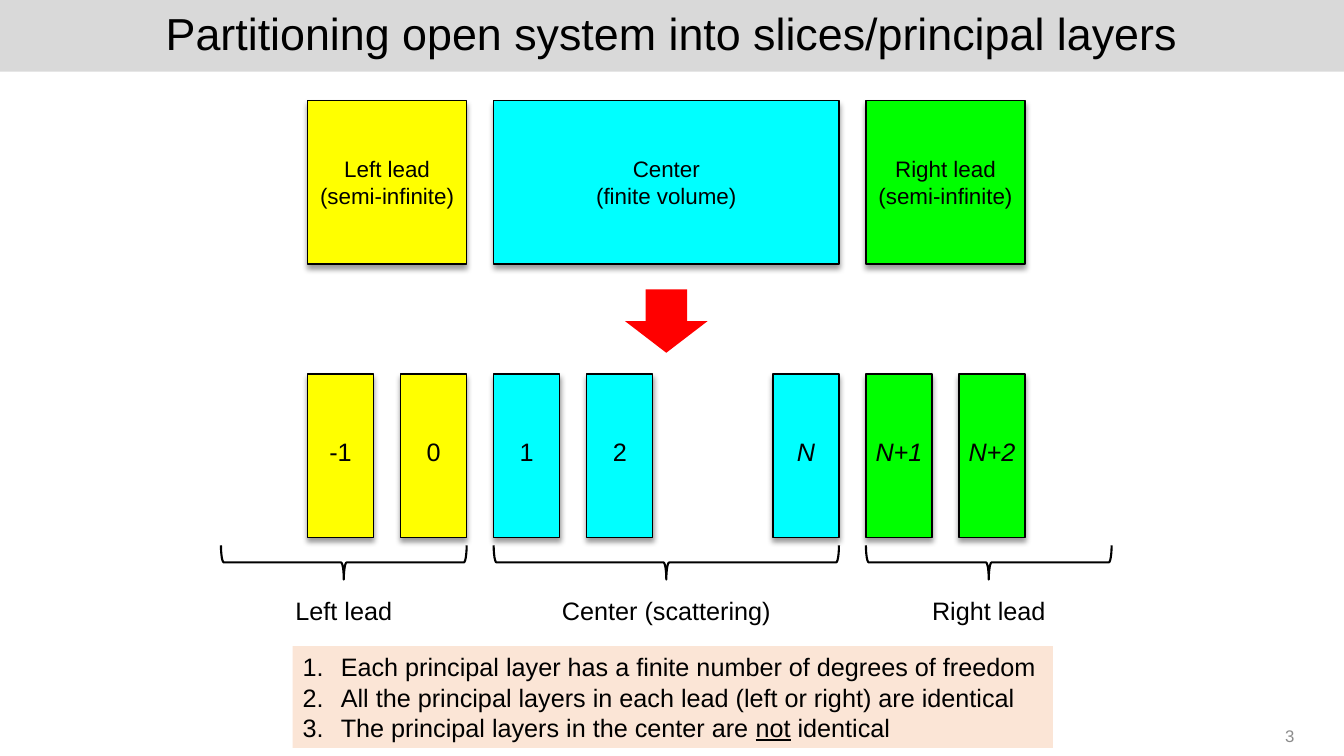
import dataclasses
import typing

import lxml.etree
import pptx
import pptx.dml.color
import pptx.enum.shapes
import pptx.enum.text
import pptx.oxml.ns
import pptx.shapes.autoshape
import pptx.slide
import pptx.text.text
import pptx.util

WIDE, HIGH = 13.33, 7.5
LEFT = 3.05
COL = 12 / 13
ROW = HIGH / 75
GAP = 0.29

TINTS = {
    "black": "000000",
    "gray": "8C8C8C",
    "band": "D9D9D9",
    "left": "FFFF00",
    "mid": "00FFFF",
    "right": "00FF00",
    "arrow": "FF0000",
    "notes": "FBE5D6",
}
FORM = pptx.enum.shapes.MSO_SHAPE
SIDE = pptx.enum.text.PP_ALIGN
ROOT = pptx.oxml.ns.qn


@dataclasses.dataclass
class Run:
    text: str
    slant: bool = False
    under: bool = False


Lines = typing.List[typing.List[Run]]


@dataclasses.dataclass
class Area:
    col: float
    row: float
    span: float
    tall: float

    def place(self) -> typing.Tuple[float, float, float, float]:
        return (LEFT + self.col * COL, self.row * ROW,
                (self.span - GAP) * COL, self.tall * ROW)


@dataclasses.dataclass
class Block:
    col: int
    span: int
    tint: str
    lines: Lines


@dataclasses.dataclass
class Slice:
    col: int
    tint: str
    run: Run


@dataclasses.dataclass
class Brace:
    col: float
    span: float
    label: str


BLOCKS = [
    Block(0, 2, "left", [[Run("Left lead (semi-infinite)")]]),
    Block(2, 4, "mid", [[Run("Center")], [Run("(finite volume)")]]),
    Block(6, 2, "right", [[Run("Right lead (semi-infinite)")]]),
]
SLICES = [
    Slice(0, "left", Run("-1")),
    Slice(1, "left", Run("0")),
    Slice(2, "mid", Run("1")),
    Slice(3, "mid", Run("2")),
    Slice(5, "mid", Run("N", slant=True)),
    Slice(6, "right", Run("N+1", slant=True)),
    Slice(7, "right", Run("N+2", slant=True)),
]
BRACES = [
    Brace(-0.93, 2.93, "Left lead"),
    Brace(2, 4, "Center (scattering)"),
    Brace(6, 2.93, "Right lead"),
]
NOTES: Lines = [
    [Run("Each principal layer has a finite number of degrees of freedom")],
    [Run("All the principal layers in each lead (left or right) are identical")],
    [Run("The principal layers in the center are "),
     Run("not", under=True), Run(" identical")],
]


def paint(tint: str) -> pptx.dml.color.RGBColor:
    return pptx.dml.color.RGBColor.from_string(TINTS[tint])


def write(frame: pptx.text.text.TextFrame, lines: Lines, size: float,
          side: SIDE = SIDE.CENTER, tint: str = "black", wrap: bool = True) -> None:
    frame.word_wrap = wrap
    frame.vertical_anchor = pptx.enum.text.MSO_ANCHOR.MIDDLE
    for spot, line in enumerate(lines):
        para = frame.add_paragraph() if spot else frame.paragraphs[0]
        para.alignment = side
        for part in line:
            run = para.add_run()
            run.text = part.text
            run.font.name = "Arial"
            run.font.size = pptx.util.Pt(size)
            run.font.color.rgb = paint(tint)
            run.font.italic = part.slant
            run.font.underline = part.under


def draw(slide: pptx.slide.Slide, form: FORM, box: typing.Sequence[float],
         fill: typing.Optional[str] = None,
         line: float = 0) -> pptx.shapes.autoshape.Shape:
    shape = slide.shapes.add_shape(form, *map(pptx.util.Inches, box))
    shape.shadow.inherit = False
    if fill:
        shape.fill.solid()
        shape.fill.fore_color.rgb = paint(fill)
    else:
        shape.fill.background()
    if line:
        shape.line.color.rgb = paint("black")
        shape.line.width = pptx.util.Pt(line)
    else:
        shape.line.fill.background()
    return shape


def shade(shape: pptx.shapes.autoshape.Shape) -> None:
    host = shape.element.spPr.find(ROOT("a:effectLst"))
    cast = lxml.etree.SubElement(
        host, ROOT("a:outerShdw"), blurRad=str(pptx.util.Pt(4)),
        dist=str(pptx.util.Pt(3)), dir="5400000", rotWithShape="0")
    hue = lxml.etree.SubElement(cast, ROOT("a:srgbClr"), val=TINTS["black"])
    lxml.etree.SubElement(hue, ROOT("a:alpha"), val="40000")


def layer(slide: pptx.slide.Slide, area: Area,
          tint: str) -> pptx.shapes.autoshape.Shape:
    shape = draw(slide, FORM.RECTANGLE, area.place(), tint, 1)
    shade(shape)
    return shape


def label(slide: pptx.slide.Slide, area: Area, text: str, size: float,
          side: SIDE = SIDE.CENTER, tint: str = "black") -> None:
    box = slide.shapes.add_textbox(*map(pptx.util.Inches, area.place()))
    write(box.text_frame, [[Run(text)]], size, side, tint)


def brace(slide: pptx.slide.Slide, item: Brace) -> None:
    left, top, wide, tall = Area(item.col, 54.1, item.span, 3.4).place()
    shift = (wide - tall) / 2
    shape = draw(slide, FORM.RIGHT_BRACE,
                 (left + shift, top - shift, tall, wide), line=1.5)
    shape.rotation = 90
    label(slide, Area(item.col, 58.6, item.span, 4), item.label, 18)


def count(para: typing.Any) -> None:
    props = para._p.get_or_add_pPr()
    dent = pptx.util.Inches(0.38)
    props.set("marL", str(dent))
    props.set("indent", str(-dent))
    lxml.etree.SubElement(props, ROOT("a:buFont"), typeface="+mj-lt")
    lxml.etree.SubElement(props, ROOT("a:buAutoNum"), type="arabicPeriod")


def main() -> None:
    deck = pptx.Presentation()
    deck.slide_width = pptx.util.Inches(WIDE)
    deck.slide_height = pptx.util.Inches(HIGH)
    slide = deck.slides.add_slide(deck.slide_layouts[6])

    title = draw(slide, FORM.RECTANGLE, (0, 0, WIDE, 7.1 * ROW), "band")
    write(title.text_frame,
          [[Run("Partitioning open system into slices/principal layers")]], 32)
    title.text_frame.paragraphs[0].line_spacing = 0.9

    for item in SLICES:
        shape = layer(slide, Area(item.col, 37.1, 1, 16.2), item.tint)
        write(shape.text_frame, [[item.run]], 18, wrap=False)
        shape.text_frame.margin_bottom = pptx.util.Inches(0.13)
    for item in BRACES:
        brace(slide, item)
    draw(slide, FORM.DOWN_ARROW, Area(3.41, 28.7, 1.18, 6.3).place(), "arrow")
    for item in BLOCKS:
        shape = layer(slide, Area(item.col, 10, item.span, 16.2), item.tint)
        write(shape.text_frame, item.lines, 16)

    notes = draw(slide, FORM.RECTANGLE,
                 Area(-0.16, 64.1, 8.46, 10.1).place(), "notes")
    write(notes.text_frame, NOTES, 18, SIDE.LEFT, wrap=False)
    for para in notes.text_frame.paragraphs:
        count(para)
    label(slide, Area(7.46, 71, 3.54, 4), "3", 12, SIDE.RIGHT, "gray")
    deck.save("out.pptx")


if __name__ == "__main__":
    main()
